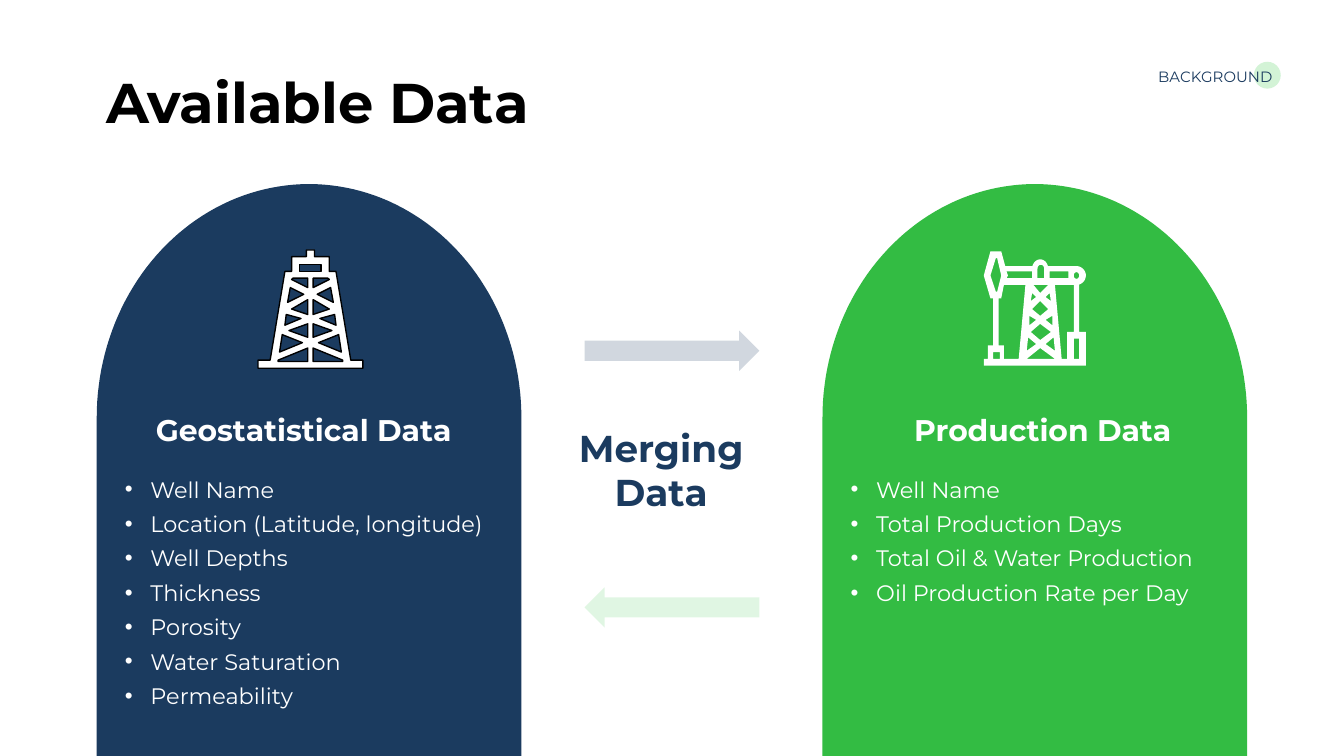
from math import cos, radians, sin

from lxml import etree
from pptx import Presentation
from pptx.dml.color import RGBColor
from pptx.enum.shapes import MSO_SHAPE
from pptx.enum.text import PP_ALIGN
from pptx.oxml.ns import qn
from pptx.util import Pt

OVAL, ARROW = MSO_SHAPE.OVAL, MSO_SHAPE.RIGHT_ARROW
LEFT, MID, RIGHT = PP_ALIGN.LEFT, PP_ALIGN.CENTER, PP_ALIGN.RIGHT
SCALE = 9144  # EMU per px, 100 px to the inch
COLORS = {"navy": "1B3B5F", "green": "33BC43", "mint": "68D675",
          "white": "FFFFFF", "black": "000000"}


def px(n):
    return round(n * SCALE)


def arc(cx, cy, rx, ry, start, end, steps=16):
    """Points on an ellipse; angles in degrees, clockwise from the right."""
    turns = [radians(start + (end - start) * i / steps) for i in range(steps + 1)]
    return [(cx + rx * cos(t), cy + ry * sin(t)) for t in turns]


def flip(points, total):
    """Mirror points, where each x and its mirror add up to total."""
    return [(total - x, y) for x, y in reversed(points)]


class Deck:
    font = "Montserrat"

    def __init__(self):
        self.prs = Presentation()
        self.prs.slide_width = px(1000)
        self.prs.slide_height = px(1000) * 9 // 16
        self.slide = self.prs.slides.add_slide(self.prs.slide_layouts[6])
        self.shapes = self.slide.shapes

    def paint(self, shape, color, alpha=None, line=None):
        shape.shadow.inherit = False
        shape.fill.solid()
        shape.fill.fore_color.rgb = RGBColor.from_string(COLORS[color])
        if alpha:
            tint = shape.fill._xPr.find(".//" + qn("a:srgbClr"))
            etree.SubElement(tint, qn("a:alpha"), val=str(alpha * 1000))
        if line:
            shape.line.color.rgb = RGBColor.from_string(COLORS[line])
            shape.line.width = Pt(0.75)
        else:
            shape.line.fill.background()

    def shape(self, kind, x, y, w, h, color, alpha=None):
        shape = self.shapes.add_shape(kind, px(x), px(y), px(w), px(h))
        self.paint(shape, color, alpha)
        return shape

    def outline(self, loops, color, line=None):
        """One freeform from closed loops; inner loops become holes."""
        loops = [[(px(x), px(y)) for x, y in loop] for loop in loops]
        pen = self.shapes.build_freeform(*loops[0][0], scale=1.0)
        for i, loop in enumerate(loops):
            if i:
                pen.move_to(*loop[0])
            pen.add_line_segments(loop[1:], close=True)
        self.paint(pen.convert_to_shape(), color, line=line)

    def text(self, x, y, w, h, lines, size=12, color="white", bold=False,
             align=LEFT, bullet=False):
        frame = self.shapes.add_textbox(px(x), px(y), px(w), px(h)).text_frame
        frame.word_wrap = True
        frame.margin_left = frame.margin_right = px(7)
        frame.margin_top = frame.margin_bottom = px(4)
        for i, line in enumerate(lines):
            par = frame.paragraphs[0] if i == 0 else frame.add_paragraph()
            par.alignment = align
            if bullet:
                self.bullet(par, color)
                par.space_after = Pt(2)
                if i:
                    par.space_before = Pt(2)
            run = par.add_run()
            run.text = line
            run.font.name, run.font.size, run.font.bold = self.font, Pt(size), bold
            run.font.color.rgb = RGBColor.from_string(COLORS[color])

    def bullet(self, par, color):
        props = par._p.get_or_add_pPr()
        props.set("marL", str(px(19)))
        props.set("indent", str(-px(19)))
        tint = etree.SubElement(props, qn("a:buClr"))
        etree.SubElement(tint, qn("a:srgbClr"), val=COLORS[color])
        etree.SubElement(props, qn("a:buFont"), typeface="Arial")
        etree.SubElement(props, qn("a:buChar"), char="•")

    def arch(self, x, color):
        curve = arc(x + 158, 311, 158, 174, 180, 360, 90)
        self.outline([curve + [(x + 316, 562.5), (x, 562.5)]], color)


def derrick(deck):
    total = 462
    edge = [(192, 274), (192, 268), (201, 268), (212, 202), (217, 202),
            (217, 191), (228, 191), (228, 186)]
    window = [(223, 197), (223, 202), (239, 202), (239, 197)]
    holes = [
        [(229, 207), (229, 214), (217, 208), (218, 207)],
        [(216, 214), (226, 219), (214, 225)],
        [(229, 223), (229, 234), (217, 230)],
        [(213, 234), (224, 237), (212, 242)],
        [(229, 241), (229, 251), (215, 246)],
        [(210, 249), (225, 255), (208, 262)],
        [(229, 259), (229, 269), (207, 269), (207, 268)],
    ]
    pairs = [flip(hole, total) for hole in holes]
    deck.outline([edge + flip(edge, total), window] + holes + pairs,
                 "white", line="black")


def pump(deck):
    total = 1549
    edge = [(737, 187), (732, 205), (737, 222), (739, 222), (739, 257),
            (735, 257), (735, 267), (732, 267), (732, 272), (808, 272),
            (808, 247), (803, 247), (803, 212)]
    edge += arc(801, 205, 7, 7, 73, -90)
    edge += arc(774, 200, 6, 7, -17, -163) + [(748, 198), (745, 187)]
    # Beam, pivot and head
    holes = [
        [(768, 202), (768, 207), (749, 207), (750, 205), (749, 202)],
        [(777, 207), (772, 207)] + arc(774.5, 200, 2.5, 3, 180, 360),
        [(795, 202), (795, 207), (781, 207), (781, 202)],
        arc(801, 205, 2, 2.5, 0, 360),
        [(742, 192), (745, 205), (742, 217), (741, 217), (737, 205), (741, 192)],
    ]
    # Tower centre
    holes += [
        [(780, 212), (774, 218), (769, 212)],
        [(774, 224), (780, 230), (774, 235), (768, 230)],
        [(774, 241), (782, 247), (774, 253), (767, 247)],
        [(774, 259), (785, 267), (764, 267)],
    ]
    # Tower sides
    sides = [
        [(768, 218), (771, 221), (767, 224)],
        [(766, 235), (771, 238), (766, 242)],
        [(765, 251), (771, 256), (764, 261)],
    ]
    # Rods and weights
    holes += sides + [flip(side, total) for side in sides] + [
        [(763, 212), (758, 267), (747, 267), (747, 257), (743, 257),
         (743, 222), (745, 222), (747, 212)],
        [(744, 262), (744, 267), (739, 267), (739, 262)],
        [(799, 212), (799, 247), (794, 247), (794, 267), (790, 267), (785, 212)],
        [(803, 252), (803, 267), (799, 267), (799, 252)],
    ]
    deck.outline([edge] + holes, "white")


def main():
    deck = Deck()

    # Section tag and title
    deck.shape(OVAL, 933, 46, 20, 20, "mint", alpha=29)
    deck.text(668, 46, 286, 21, ["BACKGROUND"], size=8, color="navy", align=RIGHT)
    deck.text(72, 46, 536, 58, ["Available Data"], size=30, color="black", bold=True)

    # Data arches
    panels = [
        (72, "navy", "Geostatistical Data", 104, 244, derrick,
         ["Well Name", "Location (Latitude, longitude)", "Well Depths",
          "Thickness", "Porosity", "Water Saturation", "Permeability"]),
        (612, "green", "Production Data", 658, 236, pump,
         ["Well Name", "Total Production Days", "Total Oil & Water Production",
          "Oil Production Rate per Day"]),
    ]
    for x, color, head, left, width, icon, items in panels:
        deck.arch(x, color)
        icon(deck)
        deck.text(left, 302, width, 34, [head], size=16, bold=True, align=MID)
        deck.text(x + 14, 350, 287, 8 + 26 * len(items), items, bullet=True)

    # Merging arrows
    deck.shape(ARROW, 435, 246, 130, 30, "navy", alpha=20)
    back = deck.shape(ARROW, 435, 437, 130, 30, "mint", alpha=20)
    back._element.spPr.xfrm.set("flipH", "1")
    deck.text(382, 312, 220, 75, ["Merging", "Data"], size=20, color="navy",
              bold=True, align=MID)

    deck.prs.save("out.pptx")


if __name__ == "__main__":
    main()
